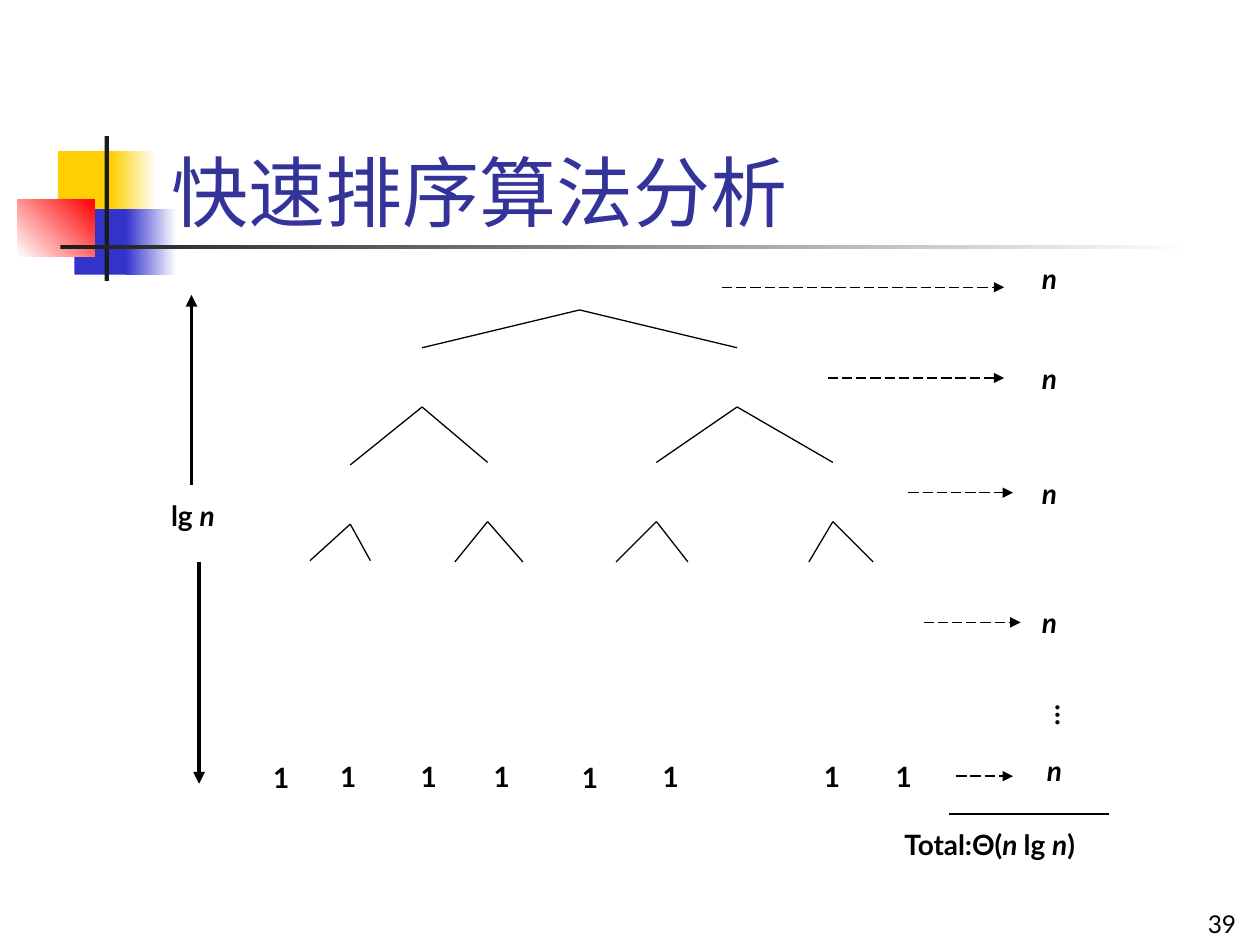
from lxml import etree
from pptx import Presentation
from pptx.dml.color import RGBColor
from pptx.enum.dml import MSO_LINE
from pptx.enum.shapes import MSO_CONNECTOR as CONN, MSO_SHAPE as SHAPE
from pptx.enum.text import MSO_ANCHOR as ANCHOR, MSO_AUTO_SIZE as FIT, PP_ALIGN as ALIGN
from pptx.oxml.ns import qn
from pptx.util import Inches, Pt

BLACK = RGBColor(0, 0, 0)
WHITE = RGBColor(255, 255, 255)
YELLOW = RGBColor(0xFF, 0xCF, 0x01)
BLUE = RGBColor(0x33, 0x33, 0xCC)
RED = RGBColor(255, 0, 0)
CHARCOAL = RGBColor(0x1C, 0x1C, 0x1C)
INDIGO = RGBColor(0x33, 0x33, 0x99)
FONT = "Lato"

prs = Presentation()
prs.slide_width, prs.slide_height = Inches(10), Inches(7.5)
COL, ROW = prs.slide_width / 100, prs.slide_height / 75
LABEL_H = 3.7
LEVEL_GAP = 4.7


def place(box, x, y):
    return round((box[0] + x) * COL), round((box[1] + y) * ROW)


def area(box, x, y, w, h):
    return *place(box, x, y), round(w * COL), round(h * ROW)


def set_font(font, size, color, bold=None):
    font.name, font.size, font.bold = FONT, Pt(size), bold
    font.color.rgb = color


def add_line(s, box, start, end, width=0.75, arrow=False, dashed=False):
    sp = s.shapes.add_connector(CONN.STRAIGHT, *place(box, *start), *place(box, *end))
    sp.line.color.rgb = BLACK
    sp.line.width = Pt(width)
    if dashed:
        sp.line.dash_style = MSO_LINE.LONG_DASH
    if arrow:
        etree.SubElement(sp.line._ln, qn("a:tailEnd"), type="triangle")
    etree.SubElement(sp._element.spPr, qn("a:effectLst"))


def add_label(s, box, x, y, w, *runs, h=LABEL_H, vertical=False):
    tf = s.shapes.add_textbox(*area(box, x, y, w, h)).text_frame
    tf.word_wrap = False
    tf.auto_size = FIT.SHAPE_TO_FIT_TEXT
    if vertical:
        tf._txBody.bodyPr.set("vert", "eaVert")
    p = tf.paragraphs[0]
    set_font(p.font, 16, BLACK, True)
    for text, italic in runs:
        r = p.add_run()
        r.text = text
        r.font.italic = italic


def draw_ornament(s, box):
    for rect, colors, angle in (
        ((3.2, 1.2, 4.8, 5.2), [YELLOW], 0),
        ((7.4, 1.2, 3.6, 5.2), [YELLOW, WHITE], 0),
        ((4.5, 5.8, 4.6, 5.2), [BLUE], 0),
        ((8.6, 5.8, 4, 5.2), [BLUE, WHITE], 0),
        ((0, 5, 6.1, 4.6), [WHITE, RED], 45),
        ((6.9, 0, 0.35, 11.5), [CHARCOAL], 0),
        ((3.4, 8.65, 90, 0.35), [CHARCOAL, WHITE], 0),
    ):
        sp = s.shapes.add_shape(SHAPE.RECTANGLE, *area(box, *rect))
        sp.shadow.inherit = False
        sp.line.fill.background()
        if len(colors) == 1:
            sp.fill.solid()
            sp.fill.fore_color.rgb = colors[0]
        else:
            sp.fill.gradient()
            sp.fill.gradient_angle = angle
            for stop, color, position in zip(sp.fill.gradient_stops, colors, (0, 1)):
                stop.color.rgb = color
                stop.position = position


def fill_title(s, box):
    sp = s.shapes.title
    sp.left, sp.top, sp.width, sp.height = area(box, 0, 0, 85.2, 12.5)
    tf = sp.text_frame
    tf.text = "快速排序算法分析"
    tf.vertical_anchor = ANCHOR.BOTTOM
    tf.auto_size = FIT.NONE
    p = tf.paragraphs[0]
    p.alignment = ALIGN.LEFT
    set_font(p.font, 44, INDIGO)


def draw_branches(s, box, x, y, children):
    apex = (x, y + LEVEL_GAP)
    for child in children:
        add_line(s, box, apex, child[:2])
        if len(child) > 2:
            draw_branches(s, box, *child)


def draw_tree(s, box):
    draw_branches(s, box, 26, -0.1, [
        (13.5, 7.6, [
            (7.8, 16.9, [(4.6, 24.5), (9.4, 24.5)]),
            (18.7, 16.7, [(16.1, 24.6), (21.5, 24.6)])]),
        (38.5, 7.6, [
            (32.1, 16.7, [(28.9, 24.6), (34.6, 24.6)]),
            (46.1, 16.7, [(44.2, 24.6), (49.3, 24.6)])]),
    ])
    for x, y in ((0.7, 39.9), (6, 39.8), (12.4, 39.8), (18.2, 39.8),
                 (25.2, 39.9), (31.6, 39.8), (44.4, 39.8), (50.1, 39.8)):
        add_label(s, box, x, y, 3.1, ("1", False))


def draw_depth(s, box):
    add_line(s, box, (2.6, 15.1), (2.6, 0), 2.25, arrow=True)
    add_label(s, box, 0, 15.7, 5.6, ("lg ", False), ("n", True))
    add_line(s, box, (3.2, 21.2), (3.2, 38.8), 2.25, arrow=True)


def draw_costs(s, box):
    for start, end, y, x_label, y_label in (
        (0.3, 22.7, 2.8, 24.7, 0.3),
        (8.7, 22.7, 10, 24.7, 8.2),
        (15.1, 23.4, 19.1, 24.7, 17.3),
        (16.3, 24, 29.4, 24.7, 27.6),
        (18.9, 23.4, 41.6, 25.1, 39.3),
    ):
        add_line(s, box, (start, y), (end, y), arrow=True, dashed=True)
        add_label(s, box, x_label, y_label, 3.3, ("n", True))
    add_label(s, box, 24.8, 34.9, 4.7, ("…", False), h=3.3, vertical=True)
    add_line(s, box, (18.3, 44.6), (31, 44.6))
    add_label(s, box, 13.8, 45.2, 16.3, ("Total:Θ(", False), ("n ", True),
              ("lg ", False), ("n", True), (")", False))


def draw_page_number(s, box):
    tf = s.shapes.add_textbox(*area(box, 0, 0, 20.8, 5)).text_frame
    tf.word_wrap = True
    tf.vertical_anchor = ANCHOR.BOTTOM
    tf.text = "39"
    p = tf.paragraphs[0]
    p.alignment = ALIGN.RIGHT
    set_font(p.font, 14, BLACK)


def main():
    s = prs.slides.add_slide(prs.slide_layouts[5])
    draw_ornament(s, (1.4, 10.8))
    fill_title(s, (12.6, 6.8))
    draw_tree(s, (20, 20))
    draw_depth(s, (12.6, 23.4))
    draw_costs(s, (57, 20))
    draw_page_number(s, (78.3, 70))
    prs.save("out.pptx")


if __name__ == "__main__":
    main()
